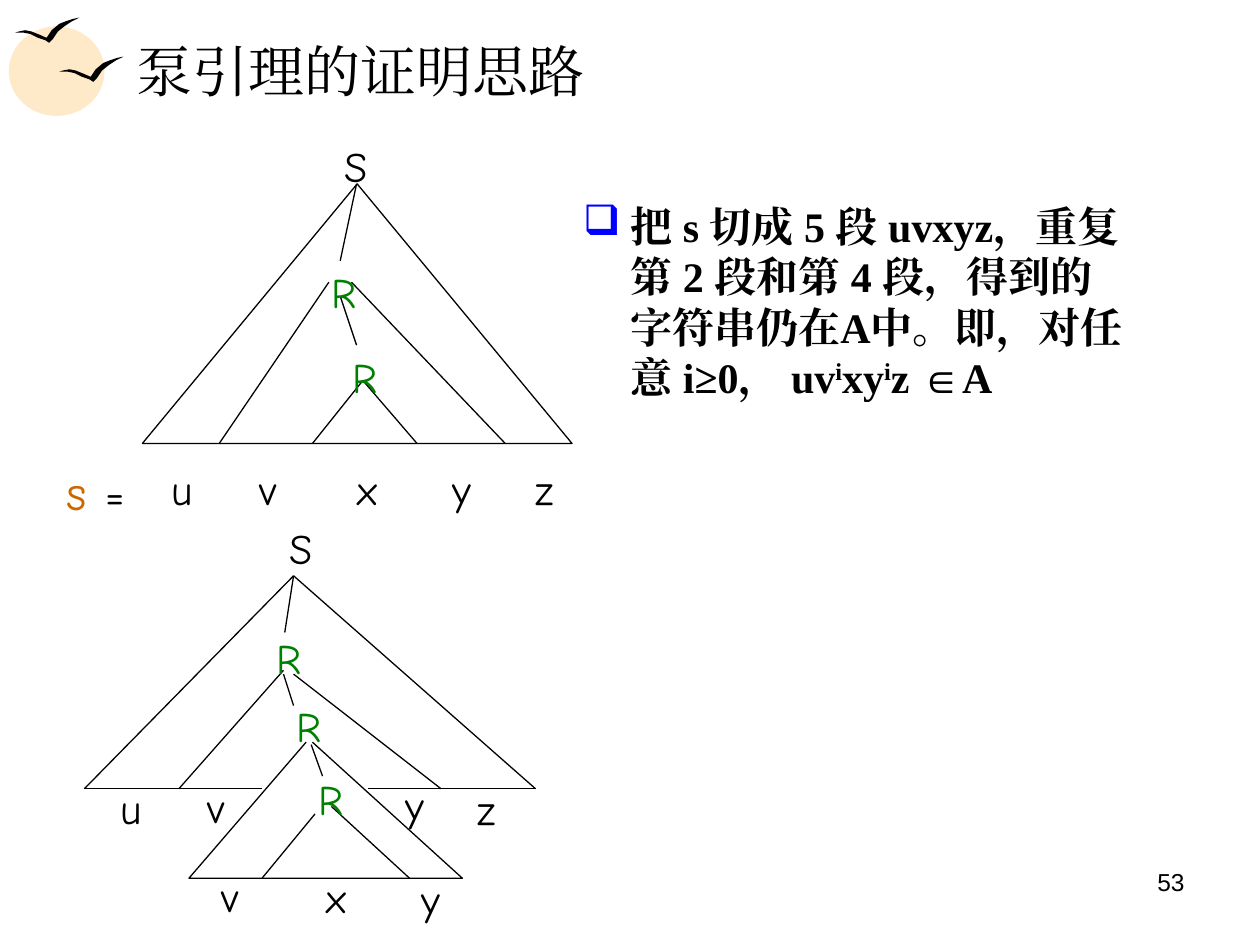
import pptx
import pptx.dml.color
import pptx.enum.shapes
import pptx.enum.text
import pptx.oxml
import pptx.oxml.ns
import pptx.util

RGBColor = pptx.dml.color.RGBColor
ALIGN = pptx.enum.text.PP_ALIGN
ANCHOR = pptx.enum.text.MSO_ANCHOR
SHAPE = pptx.enum.shapes.MSO_SHAPE

BLACK = RGBColor(0, 0, 0)
GREEN = RGBColor(0, 0x80, 0)
ORANGE = RGBColor(0xCC, 0x66, 0)
PEACH = RGBColor(0xFE, 0xE9, 0xC8)
BLUE = RGBColor(0, 0, 0xFF)

SERIF = "Times New Roman"
COMIC = "Comic Neue"
SLIDE_WIDTH = pptx.util.Inches(10)
SLIDE_HEIGHT = pptx.util.Inches(7.5)
COLUMNS = 100  # square cells: 100 columns by 75 rows
LABEL_HEIGHT = 5

BIRD = [(0, 1.2), (0.3, 1.1), (0.8, 1), (1.3, 1.1), (1.8, 1.3), (2.5, 1.6),
        (2.9, 1), (3.5, 0.5), (4, 0.3), (4.6, 0.1), (5.1, 0), (4.5, 0.3),
        (3.9, 0.7), (3.4, 1.1), (3, 1.7), (2.7, 2), (2.4, 1.8), (1.8, 1.6),
        (1.2, 1.3), (0.7, 1.2)]


def cells(count):
    return round(count * SLIDE_WIDTH / COLUMNS)


def place(shape, box):
    shape.left, shape.top, shape.width, shape.height = map(cells, box)


def write(paragraph, text, size=24, font=COMIC, color=BLACK, bold=False, raised=0):
    """Add one run; raised is the superscript offset in percent."""
    run = paragraph.add_run()
    run.text = text
    run.font.size = pptx.util.Pt(size)
    run.font.name = font
    run.font.bold = bold
    run.font.color.rgb = color
    properties = run.font._element
    if raised:
        properties.set("baseline", str(raised * 1000))
    east_asian = properties.makeelement(pptx.oxml.ns.qn("a:ea"), {"typeface": font})
    properties.find(pptx.oxml.ns.qn("a:latin")).addnext(east_asian)


def add_text_box(slide, box, align=ALIGN.LEFT):
    """Add a wrapping text box and return its first paragraph."""
    shape = slide.shapes.add_textbox(*map(cells, box))
    shape.text_frame.word_wrap = True
    paragraph = shape.text_frame.paragraphs[0]
    paragraph.alignment = align
    return paragraph


def add_label(slide, origin, text, center, top, width, color=BLACK):
    box = (origin[0] + center - width / 2, origin[1] + top, width, LABEL_HEIGHT)
    write(add_text_box(slide, box, ALIGN.CENTER), text, color=color)


def add_line(slide, origin, start_x, start_y, end_x, end_y):
    connector = slide.shapes.add_connector(
        pptx.enum.shapes.MSO_CONNECTOR.STRAIGHT,
        cells(origin[0] + start_x), cells(origin[1] + start_y),
        cells(origin[0] + end_x), cells(origin[1] + end_y))
    connector.line.color.rgb = BLACK
    connector.line.width = pptx.util.Pt(0.75)
    properties = connector._element.spPr
    properties.append(properties.makeelement(pptx.oxml.ns.qn("a:effectLst"), {}))


def style(shape, fill=None):
    """Fill without a line, or draw a thin black outline without a fill."""
    shape.shadow.inherit = False
    if fill is None:
        shape.fill.background()
        shape.line.color.rgb = BLACK
        shape.line.width = pptx.util.Pt(0.75)
    else:
        shape.fill.solid()
        shape.fill.fore_color.rgb = fill
        shape.line.fill.background()


def add_outline(slide, origin, points, close, fill=None):
    corners = [(cells(origin[0] + x), cells(origin[1] + y)) for x, y in points]
    builder = slide.shapes.build_freeform(*corners[0])
    builder.add_line_segments(corners[1:], close=close)
    style(builder.convert_to_shape(), fill)


def add_sun_and_birds(slide, box):
    left, top, width, height = box
    sun = slide.shapes.add_shape(SHAPE.OVAL, *map(cells, box))
    style(sun, PEACH)
    for x, y in ((4, 2.4), (0.5, -0.7)):
        add_outline(slide, (left + x, top + y), BIRD, True, BLACK)


def add_title(slide, box):
    title = slide.shapes.title
    place(title, box)
    title.text_frame.vertical_anchor = ANCHOR.MIDDLE
    paragraph = title.text_frame.paragraphs[0]
    paragraph.alignment = ALIGN.LEFT
    write(paragraph, "泵引理的证明思路", size=32, font=SERIF)


def add_statement(slide, box):
    paragraph = add_text_box(slide, box)
    properties = paragraph._p.get_or_add_pPr()
    indent = cells(3.75)
    properties.set("marL", str(indent))
    properties.set("indent", str(-indent))
    namespace = pptx.oxml.ns.nsdecls("a")
    for bullet in (f'<a:buClr {namespace}><a:srgbClr val="{BLUE}"/></a:buClr>',
                   f'<a:buChar {namespace} char="❑"/>'):
        properties.append(pptx.oxml.parse_xml(bullet))
    runs = [("把 s 切成 5 段 uvxyz，重复第 2 段和第 4 段，得到的字符串仍在A中。"
             "即，对任意 i≥0， uv", 0),
            ("i", 30), ("xy", 0), ("i", 30), ("z ∈A", 0)]
    for text, raised in runs:
        write(paragraph, text, font=SERIF, bold=True, raised=raised)


def add_parse_tree(slide, box):
    """Tree for s = uvxyz with the repeated variable R."""
    origin, (width, height) = box[:2], box[2:]
    style(slide.shapes.add_shape(SHAPE.ISOSCELES_TRIANGLE, *map(cells, box)))
    for line in ((17, 0, 15.7, 6.1), (15.7, 8.9, 17, 12.8),
                 (17.5, 15.6, 13.5, height), (17.5, 15.6, 21.8, height),
                 (14.8, 7.8, 6.1, height), (16.6, 7.8, 28.8, height)):
        add_line(slide, origin, *line)
    add_label(slide, origin, "S", 17, -3.9, 4.4)
    for center, top in ((15.75, 6.1), (17.45, 12.8)):
        add_label(slide, origin, "R", center, top, 3.5, GREEN)
    for text, center in zip("uvxyz", (2.85, 9.85, 17.65, 25.15, 31.75)):
        add_label(slide, origin, text, center, height + 1.1, 3.1)
    paragraph = add_text_box(slide, (origin[0] - 7, origin[1] + height + 0.4, 8.1, 6.4))
    write(paragraph, "s", size=28, color=ORANGE)
    write(paragraph, " ", size=32)
    write(paragraph, "=")


def add_pumped_tree(slide, box):
    """Tree in which the upper R subtree replaces the lower one."""
    origin, (width, height) = box[:2], box[2:]
    apex, base = 16.6, 16.9
    for line in ((apex, 0, 15.9, 4.5), (apex, 0, 0, base), (apex, 0, width, base),
                 (0, base, 14.1, base), (22.5, base, width, base),
                 (15.8, 7.8, apex, 10.3), (15.8, 7.5, 7.5, base),
                 (apex, 7.8, 28.3, base), (18, 13.4, 18.9, 15.9),
                 (18.3, 18.9, 14.1, height), (19.6, 18.3, 25.8, height)):
        add_line(slide, origin, *line)
    subtree = [(17.6, 13.2), (8.3, height), (30, height), (18.1, 13.2)]
    add_outline(slide, origin, subtree, False)
    add_label(slide, origin, "S", 17.2, -4.7, 4.4)
    for center, top in ((16.25, 4), (17.85, 9.4), (19.55, 15.2)):
        add_label(slide, origin, "R", center, top, 4.1, GREEN)
    for text, center, top in (("u", 3.7, 15.9), ("v", 10.5, 15.8), ("y", 26.2, 15.7),
                              ("z", 31.9, 16), ("v", 11.6, 22.9), ("x", 20, 23),
                              ("y", 27.5, 23.1)):
        add_label(slide, origin, text, center, top, 4.2)


def main():
    presentation = pptx.Presentation()
    presentation.slide_width = SLIDE_WIDTH
    presentation.slide_height = SLIDE_HEIGHT
    slide = presentation.slides.add_slide(presentation.slide_layouts[5])
    add_sun_and_birds(slide, (0.7, 2.1, 7.6, 7.1))
    add_title(slide, (9.8, 2.1, 85.3, 6.9))
    add_parse_tree(slide, (11.3, 14.6, 34.1, 20.6))
    add_statement(slide, (45.3, 15.4, 45.7, 23.6))
    add_pumped_tree(slide, (6.7, 45.7, 35.8, 24))
    number = add_text_box(slide, (71.7, 68.3, 23.3, 5.2), ALIGN.RIGHT)
    write(number, "53", size=14, font="Arial")
    presentation.save("out.pptx")


if __name__ == "__main__":
    main()
